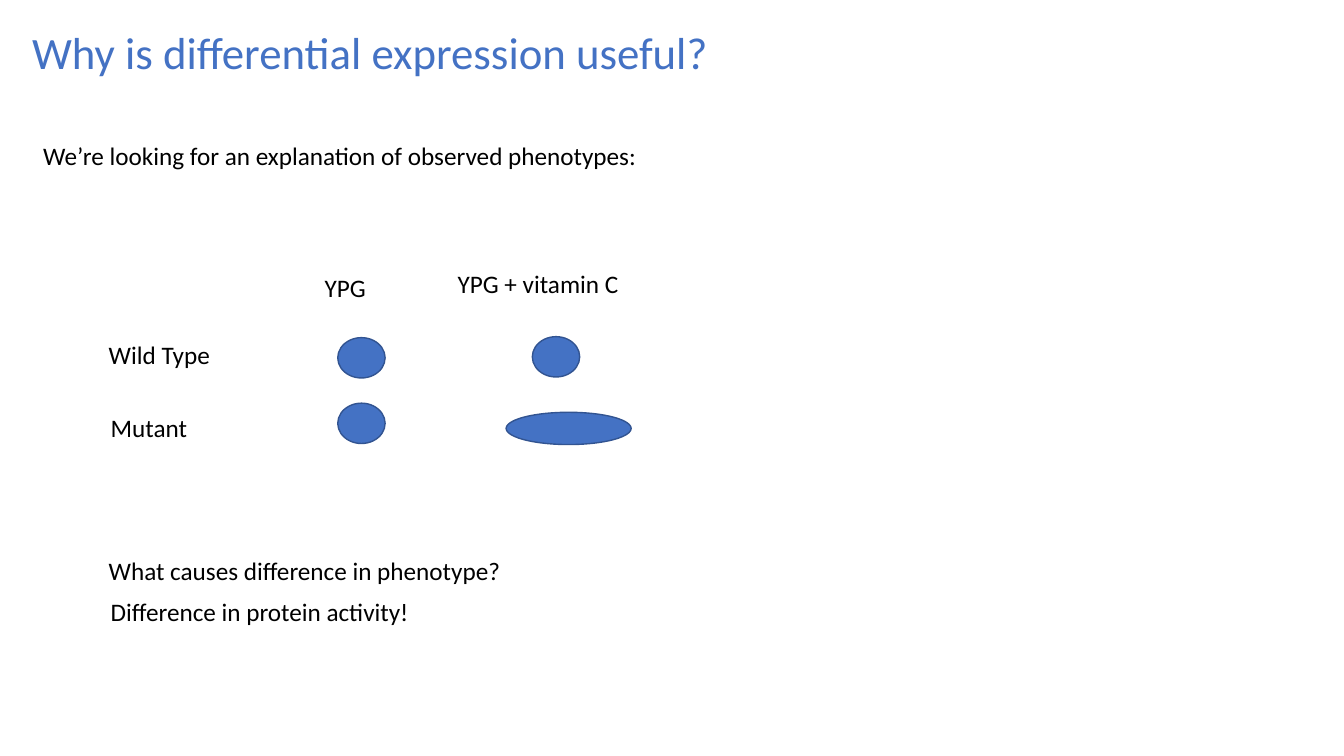
from dataclasses import dataclass

from pptx import Presentation
from pptx.dml.color import RGBColor
from pptx.enum.shapes import MSO_SHAPE
from pptx.enum.text import MSO_AUTO_SIZE
from pptx.util import Inches, Pt


@dataclass(frozen=True)
class Theme:
    font: str = "Calibri"
    title_size: Pt = Pt(32)
    body_size: Pt = Pt(18)
    accent: RGBColor = RGBColor(0x44, 0x72, 0xC4)
    outline: RGBColor = RGBColor(0x32, 0x54, 0x91)
    text: RGBColor = RGBColor(0, 0, 0)


THEME = Theme()
LINE_HEIGHT = 0.4

# text, left, top, width
COLUMN_LABELS = [
    ("YPG", 3.12, 2.65, 0.61),
    ("YPG + vitamin C", 4.44, 2.61, 1.82),
]
ROW_LABELS = [
    ("Wild Type", 0.98, 3.32, 1.22),
    ("Mutant", 1, 4.04, 0.97),
]
CONCLUSIONS = [
    ("What causes difference in phenotype?", 0.98, 5.46, 4.66),
    ("Difference in protein activity!", 1, 5.87, 4.66),
]
# left, top
ROUND_CELLS = [(3.35, 3.35), (5.28, 3.34), (3.35, 4)]


def add_text(slide, text, left, top, width, height=LINE_HEIGHT,
             size=THEME.body_size, color=THEME.text, wrap=False):
    box = slide.shapes.add_textbox(
        Inches(left), Inches(top), Inches(width), Inches(height))
    frame = box.text_frame
    frame.word_wrap = wrap
    frame.auto_size = MSO_AUTO_SIZE.SHAPE_TO_FIT_TEXT
    paragraph = frame.paragraphs[0]
    paragraph.text = text
    paragraph.font.name = THEME.font
    paragraph.font.size = size
    paragraph.font.color.rgb = color


def add_cell(slide, left, top, width=0.47, height=0.4):
    """Draw one yeast cell as an outlined ellipse."""
    shape = slide.shapes.add_shape(
        MSO_SHAPE.OVAL, Inches(left), Inches(top), Inches(width), Inches(height))
    shape.shadow.inherit = False
    shape.fill.solid()
    shape.fill.fore_color.rgb = THEME.accent
    shape.line.color.rgb = THEME.outline
    shape.line.width = Pt(1)


def main():
    presentation = Presentation()
    presentation.slide_width = Inches(13.33)
    presentation.slide_height = Inches(7.5)
    slide = presentation.slides.add_slide(presentation.slide_layouts[6])

    add_text(slide, "Why is differential expression useful?", 0.22, 0.2, 6.98, 0.64,
             size=THEME.title_size, color=THEME.accent)
    add_text(slide, "We’re looking for an explanation of observed phenotypes:",
             0.33, 1.34, 6.16)

    for label in COLUMN_LABELS + ROW_LABELS:
        add_text(slide, *label)
    for position in ROUND_CELLS:
        add_cell(slide, *position)
    add_cell(slide, 5.02, 4.09, width=1.24, height=0.32)

    for conclusion in CONCLUSIONS:
        add_text(slide, *conclusion, wrap=True)

    presentation.save("out.pptx")


if __name__ == "__main__":
    main()
